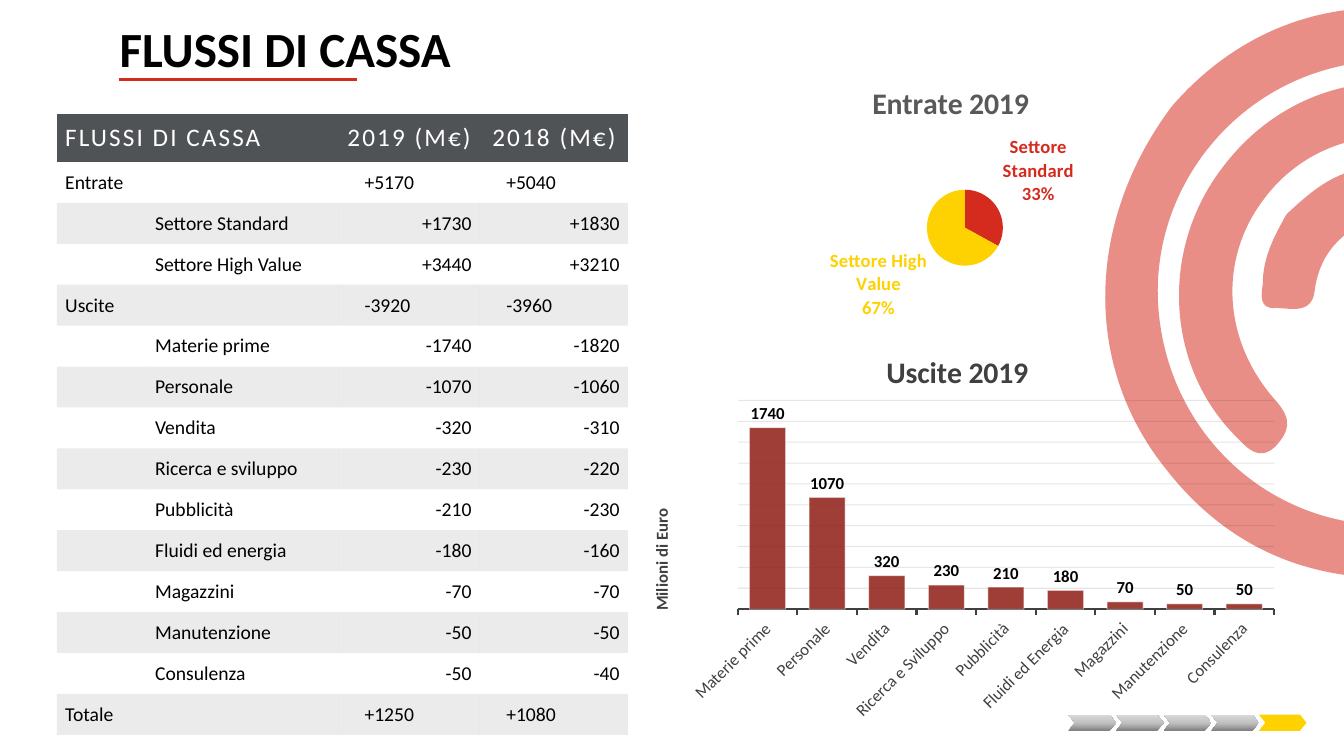
from lxml import etree
from pptx import Presentation
from pptx import util as u
from pptx.chart import data as chart_data
from pptx.dml import color
from pptx.enum import chart as ch, shapes, text
from pptx.oxml import ns

Pt = u.Pt
FONT = "Calibri"
COLOURS = {
    "red": "D52B1E", "yellow": "FED100", "brick": "8E1D14", "header": "505356",
    "black": "000000", "white": "FFFFFF", "grey": "404040", "title": "595959",
    "grid": "0D0D0D", "steel": "808080", "silver": "C1C1C1", "light": "D9D9D9",
}
NO_STYLE = "{2D5ABB26-0587-4C30-8999-92F81FD0307C}"
ARCS = [
    [(837, 76), (882, 24), (947, -5), (1027, 9), (1108, 24), (1161, 73), (1188, 150),
     (1191, 160), (1196, 171), (1188, 181), (1177, 194), (1158, 186), (1153, 166),
     (1126, 76), (1039, 25), (950, 49), (871, 70), (819, 146), (828, 226),
     (837, 309), (903, 372), (986, 375), (989, 375), (992, 376), (996, 375),
     (1010, 374), (1018, 380), (1019, 396), (1019, 414), (1006, 413), (994, 413),
     (927, 413), (873, 387), (832, 334), (774, 261), (775, 159), (837, 76)],
    [(873, 120), (918, 60), (994, 42), (1061, 76), (1070, 81), (1084, 85), (1076, 101),
     (1069, 114), (1061, 119), (1044, 110), (993, 85), (935, 99), (903, 142),
     (870, 185), (873, 244), (912, 287), (923, 300), (921, 308), (911, 319),
     (899, 330), (891, 320), (883, 312), (833, 262), (828, 179), (873, 120)],
    [(919, 153), (932, 141), (945, 129), (963, 123), (969, 122), (978, 116), (981, 127),
     (984, 138), (992, 151), (977, 158), (955, 168), (942, 184), (939, 208),
     (937, 225), (921, 220), (911, 220), (899, 221), (901, 210), (902, 203),
     (902, 184), (910, 169), (919, 153)],
]
HEADINGS = ("FLUSSI DI CASSA", "2019 (M€)", "2018 (M€)")
TOTALS = {"Entrate", "Uscite", "Totale"}
CASH_FLOWS = [
    ("Entrate", 5170, 5040), ("Settore Standard", 1730, 1830),
    ("Settore High Value", 3440, 3210), ("Uscite", -3920, -3960),
    ("Materie prime", -1740, -1820), ("Personale", -1070, -1060),
    ("Vendita", -320, -310), ("Ricerca e sviluppo", -230, -220),
    ("Pubblicità", -210, -230), ("Fluidi ed energia", -180, -160),
    ("Magazzini", -70, -70), ("Manutenzione", -50, -50),
    ("Consulenza", -50, -40), ("Totale", 1250, 1080),
]
REVENUES = {"Settore Standard": 33, "Settore High Value": 67}
COSTS = {
    "Materie prime": 1740, "Personale": 1070, "Vendita": 320,
    "Ricerca e Sviluppo": 230, "Pubblicità": 210, "Fluidi ed Energia": 180,
    "Magazzini": 70, "Manutenzione": 50, "Consulenza": 50,
}


def apply(target, **values):
    for name, value in values.items():
        setattr(target, name, value)


def style_font(font, size, colour="black", bold=False):
    apply(font, name=FONT, size=Pt(size), bold=bold)
    font.color.rgb = color.RGBColor.from_string(COLOURS[colour])


def paint(fill, colour, alpha=100):
    fill.solid()
    fill.fore_color.rgb = color.RGBColor.from_string(COLOURS[colour])
    if alpha < 100:
        solid = fill._xPr.find(ns.qn("a:solidFill"))
        etree.SubElement(solid[0], ns.qn("a:alpha"), val=str(alpha * 1000))


def place_layout(parent, index, **fractions):
    for old in parent.findall(ns.qn("c:layout")):
        parent.remove(old)
    layout = etree.Element(ns.qn("c:layout"))
    manual = etree.SubElement(layout, ns.qn("c:manualLayout"))
    if "w" in fractions:
        etree.SubElement(manual, ns.qn("c:layoutTarget"), val="inner")
    for side in "xy":
        etree.SubElement(manual, ns.qn(f"c:{side}Mode"), val="edge")
    for side, fraction in fractions.items():
        etree.SubElement(manual, ns.qn(f"c:{side}"), val=str(fraction))
    parent.insert(index, layout)


def add_arc(slide, points):
    builder = slide.shapes.build_freeform(*map(Pt, points[0]))
    builder.add_line_segments([(Pt(x), Pt(y)) for x, y in points[1:]], close=True)
    shape = builder.convert_to_shape()
    lines = list(shape._element.iter(ns.qn("a:lnTo")))
    for first in range(0, len(points) - 1, 3):
        curve = etree.Element(ns.qn("a:cubicBezTo"))
        lines[first].addprevious(curve)
        for line in lines[first:first + 3]:
            curve.append(line[0])
            line.getparent().remove(line)
    shape.shadow.inherit = False
    paint(shape.fill, "red", 53)
    shape.line.fill.background()


def add_title(slide):
    box = slide.shapes.add_textbox(Pt(0.5), Pt(0.5), Pt(508), Pt(73))
    frame = box.text_frame
    apply(frame, word_wrap=True, vertical_anchor=text.MSO_ANCHOR.MIDDLE,
          margin_left=Pt(85), margin_right=Pt(85), margin_top=0, margin_bottom=0)
    paragraph = frame.paragraphs[0]
    paragraph.line_spacing = 0.9
    run = paragraph.add_run()
    run.text = "FLUSSI DI CASSA"
    style_font(run.font, 35.1, bold=True)
    line = slide.shapes.add_connector(shapes.MSO_CONNECTOR.STRAIGHT,
                                      Pt(85), Pt(56.5), Pt(255), Pt(56.5))
    paint(line.line.fill, "red")
    line.line.width = Pt(2)
    etree.SubElement(line._element.spPr, ns.qn("a:effectLst"))


def fill_cell(cell, words, align, size=14, colour="black", indent=0, spacing=0):
    apply(cell, vertical_anchor=text.MSO_ANCHOR.BOTTOM, margin_left=Pt(6),
          margin_right=Pt(6), margin_top=Pt(6), margin_bottom=Pt(6))
    paragraph = cell.text_frame.paragraphs[0]
    paragraph.alignment = align
    if not words:
        paragraph._p.get_or_add_endParaRPr().set("sz", str(size * 100))
        return
    paragraph._p.get_or_add_pPr().set("marL", str(Pt(indent)))
    run = paragraph.add_run()
    run.text = words
    style_font(run.font, size, colour)
    run.font._element.set("spc", str(spacing))


def add_cash_table(slide):
    frame = slide.shapes.add_table(len(CASH_FLOWS) + 1, 4, Pt(40.6), Pt(81.5), Pt(408), Pt(443))
    table = frame.table
    apply(table, first_row=False, horz_banding=False)
    table._tbl.tblPr.find(ns.qn("a:tableStyleId")).text = NO_STYLE
    for column, width in zip(table.columns, (64.2, 136.8, 101.3, 105.7)):
        column.width = Pt(width)
    left, centre, right = text.PP_ALIGN.LEFT, text.PP_ALIGN.CENTER, text.PP_ALIGN.RIGHT
    for index, row in enumerate(table.rows):
        row.height = Pt(29.25 if index else 34.2)
        cells = list(row.cells)
        label, *amounts = CASH_FLOWS[index - 1] if index else HEADINGS
        total = label in TOTALS
        if total or not index:
            cells[0].merge(cells[1])
        if not index:
            for cell, words, align in zip((cells[0], *cells[2:]), HEADINGS, (left, centre, centre)):
                fill_cell(cell, words, align, 18, "white", spacing=150)
        else:
            fill_cell(cells[0], label if total else "", left)
            fill_cell(cells[1], "" if total else label, left)
            for cell, amount in zip(cells[2:], amounts):
                fill_cell(cell, f"{amount:+d}", left if total else right,
                          indent=12.8 if total else 0)
        for cell in cells:
            if not index:
                paint(cell.fill, "header")
            elif index % 2 == 0:
                paint(cell.fill, "black", 8)
            else:
                cell.fill.background()


def add_chart(slide, kind, values, box, title, title_colour, title_place, plot_area):
    data = chart_data.CategoryChartData()
    data.categories = list(values)
    data.add_series("Series 1", list(values.values()))
    chart = slide.shapes.add_chart(kind, *map(Pt, box), data).chart
    chart.has_legend = False
    style_font(chart.font, 10)
    chart.chart_title.text_frame.text = title
    style_font(chart.chart_title.text_frame.paragraphs[0].runs[0].font, 21.3, title_colour, True)
    place_layout(chart.chart_title._element, 1, **title_place)
    place_layout(chart._chartSpace.chart.plotArea, 0, **plot_area)
    return chart


def add_revenue_pie(slide):
    chart = add_chart(slide, ch.XL_CHART_TYPE.PIE, REVENUES, (476.5, 47.5, 408, 188.5),
                      "Entrate 2019", "title", dict(x=0.35, y=0.04),
                      dict(x=0.455, y=0.467, w=0.133, h=0.288))
    for index, colour in enumerate(("red", "yellow")):
        point = chart.plots[0].series[0].points[index]
        paint(point.format.fill, colour)
        point.format.line.fill.background()
        label = point.data_label
        style_font(label.font, 13.3, colour, True)
        label.position = ch.XL_LABEL_POSITION.BEST_FIT
        element = label._dLbl
        for flag, value in (("showVal", 0), ("showCatName", 1), ("showPercent", 1)):
            element.find(ns.qn(f"c:{flag}")).set("val", str(value))
        etree.SubElement(element, ns.qn("c:separator")).text = "\n"


def add_cost_columns(slide):
    chart = add_chart(slide, ch.XL_CHART_TYPE.COLUMN_CLUSTERED, COSTS, (450, 237, 469.5, 283.5),
                      "Uscite 2019", "grey", dict(x=0.382, y=0.036),
                      dict(x=0.164, y=0.173, w=0.816, h=0.526))
    plot = chart.plots[0]
    apply(plot, gap_width=65, vary_by_categories=False, has_data_labels=True)
    bars = plot.series[0].format
    paint(bars.fill, "brick", 85)
    paint(bars.line.fill, "white", 50)
    bars.line.width = Pt(0.75)
    apply(plot.data_labels, show_value=True, position=ch.XL_LABEL_POSITION.OUTSIDE_END)
    style_font(plot.data_labels.font, 11.97, bold=True)
    category = chart.category_axis
    category.major_tick_mark = ch.XL_TICK_MARK.OUTSIDE
    style_font(category.tick_labels.font, 11.97, "grey")
    category._element.find(ns.qn("c:txPr"))[0].set("rot", "-2700000")
    paint(category.format.line.fill, "grey")
    category.format.line.width = Pt(1.5)
    value = chart.value_axis
    apply(value, visible=False, minimum_scale=0, maximum_scale=2000, major_unit=200)
    grid = value.major_gridlines.format.line
    paint(grid.fill, "grid", 10)
    grid.width = Pt(0.75)
    title = value.axis_title
    title.text_frame.text = "Milioni di Euro"
    style_font(title.text_frame.paragraphs[0].runs[0].font, 11.97, "grey", True)
    body = title.text_frame._txBody.find(ns.qn("a:bodyPr"))
    body.set("rot", "-5400000")
    body.set("vert", "horz")
    place_layout(title._element, 1, x=0.026, y=0.438)


def add_chevron(slide, left, active):
    shape = slide.shapes.add_shape(shapes.MSO_SHAPE.CHEVRON, Pt(left), Pt(510.5), Pt(34), Pt(11.5))
    shape.adjustments[0] = 0.4
    shape.shadow.inherit = False
    shape.line.fill.background()
    if active:
        paint(shape.fill, "yellow")
        return
    shape.fill.gradient()
    gradient = shape._element.spPr.find(ns.qn("a:gradFill"))
    stops = gradient.find(ns.qn("a:gsLst"))
    for stop in list(stops):
        stops.remove(stop)
    for position, colour in ((0, "steel"), (48, "silver"), (100, "light")):
        stop = etree.SubElement(stops, ns.qn("a:gs"), pos=str(position * 1000))
        etree.SubElement(stop, ns.qn("a:srgbClr"), val=COLOURS[colour])
    gradient.find(ns.qn("a:lin")).set("ang", "16200000")


def main():
    presentation = Presentation()
    apply(presentation, slide_width=Pt(960), slide_height=Pt(540))
    slide = presentation.slides.add_slide(presentation.slide_layouts[6])
    for points in ARCS:
        add_arc(slide, points)
    add_revenue_pie(slide)
    add_cash_table(slide)
    add_cost_columns(slide)
    add_title(slide)
    for step in range(5):
        add_chevron(slide, 763.2 + 34 * step, step == 4)
    presentation.save("out.pptx")


if __name__ == "__main__":
    main()
